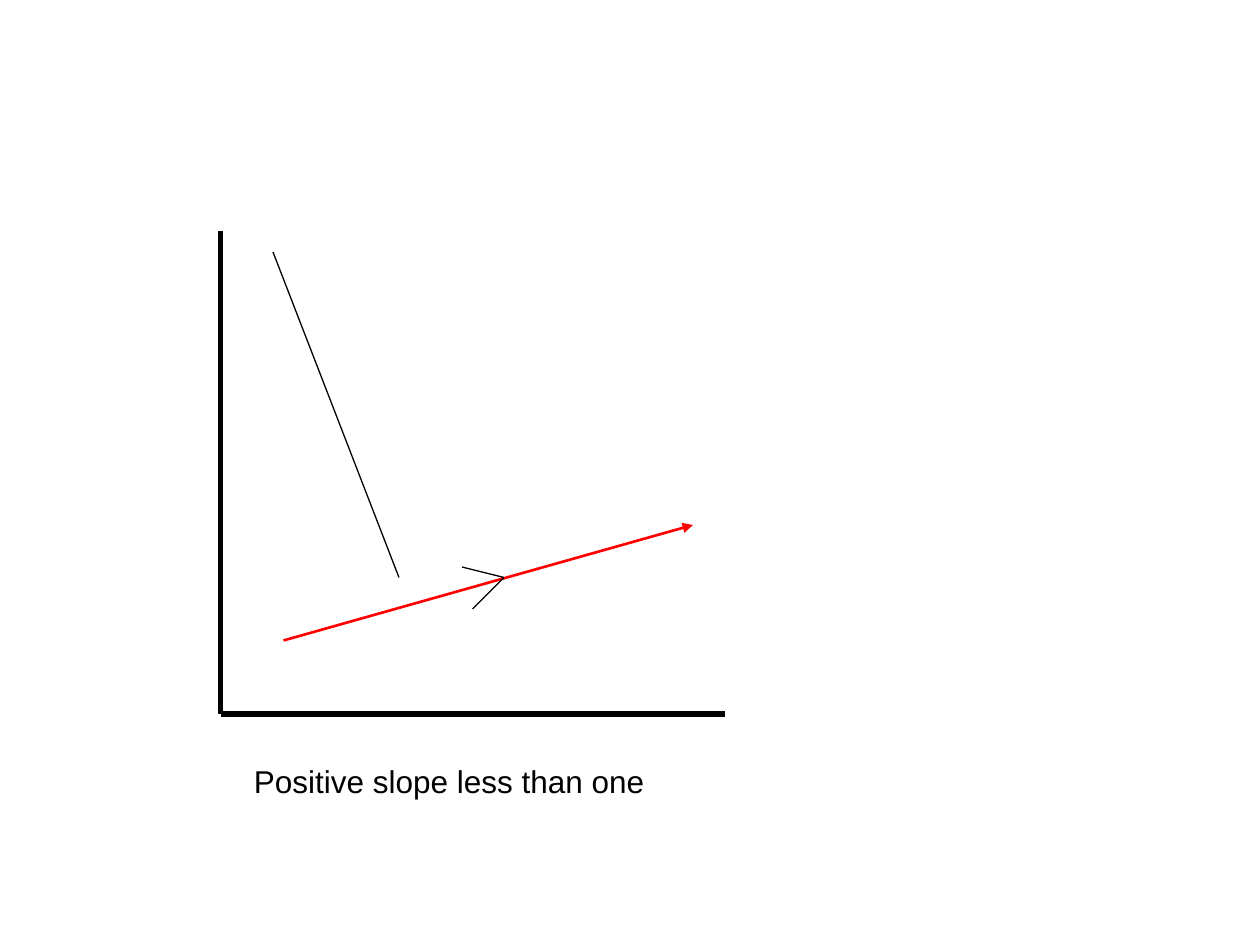
from dataclasses import dataclass

from lxml import etree
from pptx import Presentation
from pptx.dml.color import RGBColor
from pptx.enum.shapes import MSO_CONNECTOR
from pptx.enum.text import MSO_AUTO_SIZE
from pptx.oxml.ns import qn
from pptx.util import Pt

STRAIGHT = MSO_CONNECTOR.STRAIGHT
GROW = MSO_AUTO_SIZE.SHAPE_TO_FIT_TEXT
EMU_PER_PX = 9525  # 96 px to the inch
BLANK_LAYOUT = 6


@dataclass(frozen=True)
class Theme:
    ink: RGBColor = RGBColor(0x00, 0x00, 0x00)
    slope: RGBColor = RGBColor(0xFF, 0x00, 0x00)
    axis_width: float = 3
    slope_width: float = 1.5
    thin_width: float = 0.75
    font: str = "Arial"
    caption_size: int = 18


THEME = Theme()


def px(length):
    return length * EMU_PER_PX


def add_line(page, start, end, color, width, arrow=False):
    line = page.shapes.add_connector(STRAIGHT, *map(px, start + end))
    line.line.color.rgb = color
    line.line.width = Pt(width)
    if arrow:
        etree.SubElement(line.line._get_or_add_ln(), qn("a:tailEnd"), type="triangle")
    etree.SubElement(line._element.spPr, qn("a:effectLst"))


def add_caption(page, left, top, width, height, text):
    box = page.shapes.add_textbox(*map(px, (left, top, width, height)))
    box.text_frame.word_wrap = False
    box.text_frame.auto_size = GROW
    span = box.text_frame.paragraphs[0].add_run()
    span.text = text
    span.font.name = THEME.font
    span.font.size = Pt(THEME.caption_size)
    span.font.color.rgb = THEME.ink


def main():
    deck = Presentation()
    deck.slide_width, deck.slide_height = px(960), px(720)
    page = deck.slides.add_slide(deck.slide_layouts[BLANK_LAYOUT])

    # Axes meeting at the origin
    origin = (168, 544)
    add_line(page, (168, 176), origin, THEME.ink, THEME.axis_width)
    add_line(page, origin, (552, 544), THEME.ink, THEME.axis_width)

    # Rising line
    add_line(page, (216, 488), (528, 400), THEME.slope, THEME.slope_width, arrow=True)

    # Open chevron halfway along the rising line
    chevron_tip = (384, 440)
    for barb in ((352, 432), (360, 464)):
        add_line(page, barb, chevron_tip, THEME.ink, THEME.thin_width)

    # Caption and steep thin line
    add_caption(page, 184, 576, 317, 38, "Positive slope less than one")
    add_line(page, (304, 440), (208, 192), THEME.ink, THEME.thin_width)

    deck.save("out.pptx")


if __name__ == "__main__":
    main()
